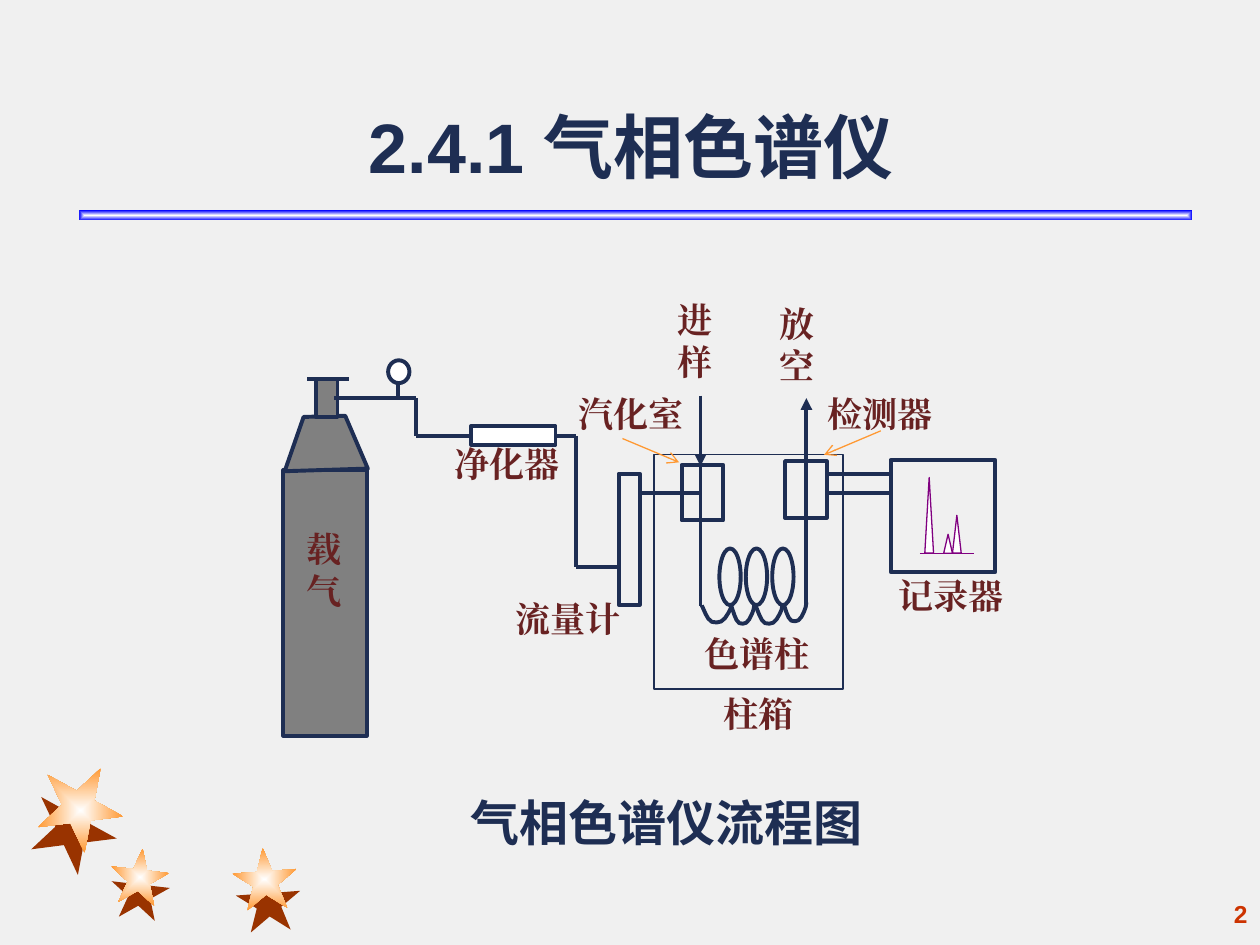
from itertools import pairwise
from math import cos, radians, sin

from lxml.etree import SubElement
from pptx import Presentation
from pptx.dml.color import RGBColor
from pptx.enum.shapes import MSO_CONNECTOR, MSO_SHAPE
from pptx.enum.text import MSO_ANCHOR, PP_ALIGN
from pptx.oxml import parse_xml
from pptx.oxml.ns import nsdecls, qn
from pptx.util import Pt

HUES = {
    "back": "F0F0F0", "navy": "1E2E53", "gray": "808080", "white": "FFFFFF",
    "wine": "682222", "gold": "FF9933", "rust": "993300", "blue": "0000FF",
    "plum": "800080", "red": "CC3300",
}


class Board:
    def __init__(self, deck):
        self.slide = deck.slides.add_slide(deck.slide_layouts[5])
        self.shapes = self.slide.shapes
        fill = self.slide.background.fill
        fill.solid()
        fill.fore_color.rgb = self.hue("back")

    def hue(self, name):
        return RGBColor.from_string(HUES[name])

    def paint(self, shape, fill=None, line="navy", width=2.25):
        shape.shadow.inherit = False
        if fill:
            shape.fill.solid()
            shape.fill.fore_color.rgb = self.hue(fill)
        else:
            shape.fill.background()
        if line:
            shape.line.color.rgb = self.hue(line)
            shape.line.width = Pt(width)
        else:
            shape.line.fill.background()
        return shape

    def glow(self, shape, name):
        old = shape._element.spPr.find(qn("a:solidFill"))
        new = parse_xml(
            f'<a:gradFill {nsdecls("a")} rotWithShape="1"><a:gsLst>'
            f'<a:gs pos="0"><a:srgbClr val="{HUES["white"]}"/></a:gs>'
            f'<a:gs pos="100000"><a:srgbClr val="{HUES[name]}"/></a:gs></a:gsLst>'
            '<a:path path="rect"><a:fillToRect l="50000" t="50000" r="50000" b="50000"/>'
            '</a:path></a:gradFill>')
        old.getparent().replace(old, new)

    def shape(self, kind, box, *style):
        item = self.shapes.add_shape(kind, *map(Pt, box))
        return self.paint(item, *style)

    def rect(self, box, *style):
        return self.shape(MSO_SHAPE.RECTANGLE, box, *style)

    def oval(self, box, *style):
        return self.shape(MSO_SHAPE.OVAL, box, *style)

    def free(self, spots, close, *style):
        spots = [(Pt(x), Pt(y)) for x, y in spots]
        build = self.shapes.build_freeform(*spots[0], scale=1.0)
        build.add_line_segments(spots[1:], close=close)
        return self.paint(build.convert_to_shape(), *style)

    def star(self, x, y, size, turn, fill):
        spots = []
        for k in range(10):
            reach = size * (0.38 if k % 2 else 1)
            angle = radians(turn + 36 * k)
            spots.append((x + reach * cos(angle), y + reach * sin(angle)))
        return self.free(spots, True, fill, None)

    def pipe(self, *spots, line="navy", width=2.25, head=None):
        for start, end in pairwise(spots):
            item = self.shapes.add_connector(
                MSO_CONNECTOR.STRAIGHT, *map(Pt, start + end))
            item.line.color.rgb = self.hue(line)
            item.line.width = Pt(width)
            part = item._element.spPr
            if head:
                SubElement(part.find(qn("a:ln")), qn("a:tailEnd"), type=head)
            SubElement(part, qn("a:effectLst"))

    def label(self, frame, text, size, face, color, align):
        frame.text = text
        para = frame.paragraphs[0]
        para.alignment = align
        font = para.runs[0].font
        font.size, font.bold, font.name = Pt(size), True, face
        font.color.rgb = self.hue(color)
        SubElement(para.runs[0]._r.rPr, qn("a:ea"), typeface=face)

    def text(self, box, text, size=20, face="Times New Roman", color="wine",
             align=PP_ALIGN.JUSTIFY, wrap=True, anchor=MSO_ANCHOR.TOP):
        frame = self.shapes.add_textbox(*map(Pt, box)).text_frame
        frame.word_wrap = wrap
        frame.vertical_anchor = anchor
        self.label(frame, text, size, face, color, align)

    def title(self, box, text):
        item = self.shapes.title
        item.left, item.top, item.width, item.height = map(Pt, box)
        item.text_frame.vertical_anchor = MSO_ANCHOR.BOTTOM
        self.label(item.text_frame, text, 40, "Arial", "navy", PP_ALIGN.CENTER)


def decor(board):
    stars = [((153.6, 516.4), (151.6, 503.9), 19.4, 49.8),
             ((79.8, 510.9), (79.5, 502.4), 17.6, 60.6),
             ((41.3, 474.3), (45.1, 461.7), 25.9, 82.8)]
    for shade, front, size, turn in stars:
        board.star(*shade, size, turn, "rust")
        board.glow(board.star(*front, size, turn, "gold"), "gold")
    board.glow(board.rect((45.4, 120.2, 635.8, 5.8), "blue", None), "blue")
    board.text((570.2, 504, 149.8, 36), "2", 14, "Arial", "red",
               PP_ALIGN.RIGHT, False, MSO_ANCHOR.MIDDLE)


def supply(board):
    board.rect((162, 268.6, 47.5, 151.9), "gray")
    board.free([(210.2, 267.8), (197.3, 237.6), (173.5, 238.3), (162.7, 269.3)],
               True, "gray")
    board.rect((180.7, 216.7, 12.2, 21.6), "gray")
    board.pipe((175.7, 216.7), (199.4, 216.7))
    board.pipe((190.8, 227.5), (237.6, 227.5), (237.6, 249.1), (272.2, 249.1))
    board.rect((269.3, 243.4, 48.2, 10.8), "white")
    board.pipe((317.5, 249.1), (329, 249.1), (329, 324), (353.5, 324))
    board.rect((353.5, 270.7, 12.2, 74.9))
    board.oval((221.8, 205.9, 12.2, 13), "white")
    board.pipe((227.5, 218.9), (227.5, 227.5))


def column(board):
    board.rect((389.5, 265.7, 23.8, 31.7))
    board.rect((448.6, 263.5, 23.8, 32.4))
    board.pipe((460.8, 345.6), (460.8, 227.5), head="triangle")
    for k in range(3):
        board.oval((411.1 + 15.1 * k, 313.4, 12.2, 32.4))
    curve = [(0, 0.1), (0.06, 0.3), (0.13, 0.55), (0.22, 0.8), (0.34, 0.97), (0.5, 1),
             (0.65, 0.95), (0.78, 0.77), (0.9, 0.48), (0.97, 0.25), (1, 0)]
    for x, y, w in [(401, 344.9, 17.1), (418, 345.6, 13), (432, 345.6, 15.1),
                    (447.8, 344.2, 13)]:
        board.free([(x + w * u, y + 10.8 * v) for u, v in curve], False)
    board.pipe((365, 281.5), (401, 281.5))
    board.rect((373.7, 259.9, 108, 133.9), None, "navy", 0.75)
    board.pipe((400.3, 266.4), (400.3, 346.3))
    board.pipe((400.3, 226.1), (400.3, 266.4), head="triangle")


def record(board):
    base = 316.1
    board.rect((509, 262.8, 59.8, 64.1))
    for y in (270.7, 281.5):
        board.pipe((473, y), (509, y))
    board.pipe((525.6, base), (556.6, base), line="plum", width=0.75)
    for x, tall in [(528.5, 43.2), (539.3, 10.8), (544.3, 21.6)]:
        board.shape(MSO_SHAPE.ISOSCELES_TRIANGLE, (x, base - tall, 5, tall),
                    "white", "plum", 0.75)


def labels(board):
    for text, x, y, w, h in [
        ("载气", 167.8, 298.1, 49, 79.9),
        ("净化器", 252.7, 249.1, 97.9, 40.3),
        ("流量计", 287.3, 337.7, 81.4, 40.3),
        ("色谱柱", 395.3, 357.8, 81.4, 40.3),
        ("柱箱", 406.1, 392.4, 64.8, 40.3),
        ("汽化室", 323.3, 221, 81.4, 40.3),
        ("检测器", 465.8, 221, 81.4, 40.3),
        ("记录器", 506.2, 324.7, 81.4, 40.3),
        ("进样", 380.2, 167, 49, 67),
        ("放空", 438.5, 169.2, 49, 67),
    ]:
        board.text((x, y, w, h), text)
    for start, end in [((355.7, 250.6), (388.1, 264.2)),
                       ((503.3, 246.2), (470.9, 259.9))]:
        board.pipe(start, end, line="gold", width=0.75, head="arrow")
    board.text((126, 449.3, 509.8, 41), "气相色谱仪流程图", 28,
               "Noto Sans CJK SC", "navy", PP_ALIGN.CENTER)


def main():
    deck = Presentation()
    deck.slide_width, deck.slide_height = Pt(720), Pt(540)
    board = Board(deck)
    board.title((54.7, 56.9, 612, 54), "2.4.1 气相色谱仪")
    for draw in (decor, supply, column, record, labels):
        draw(board)
    deck.save("out.pptx")


if __name__ == "__main__":
    main()
